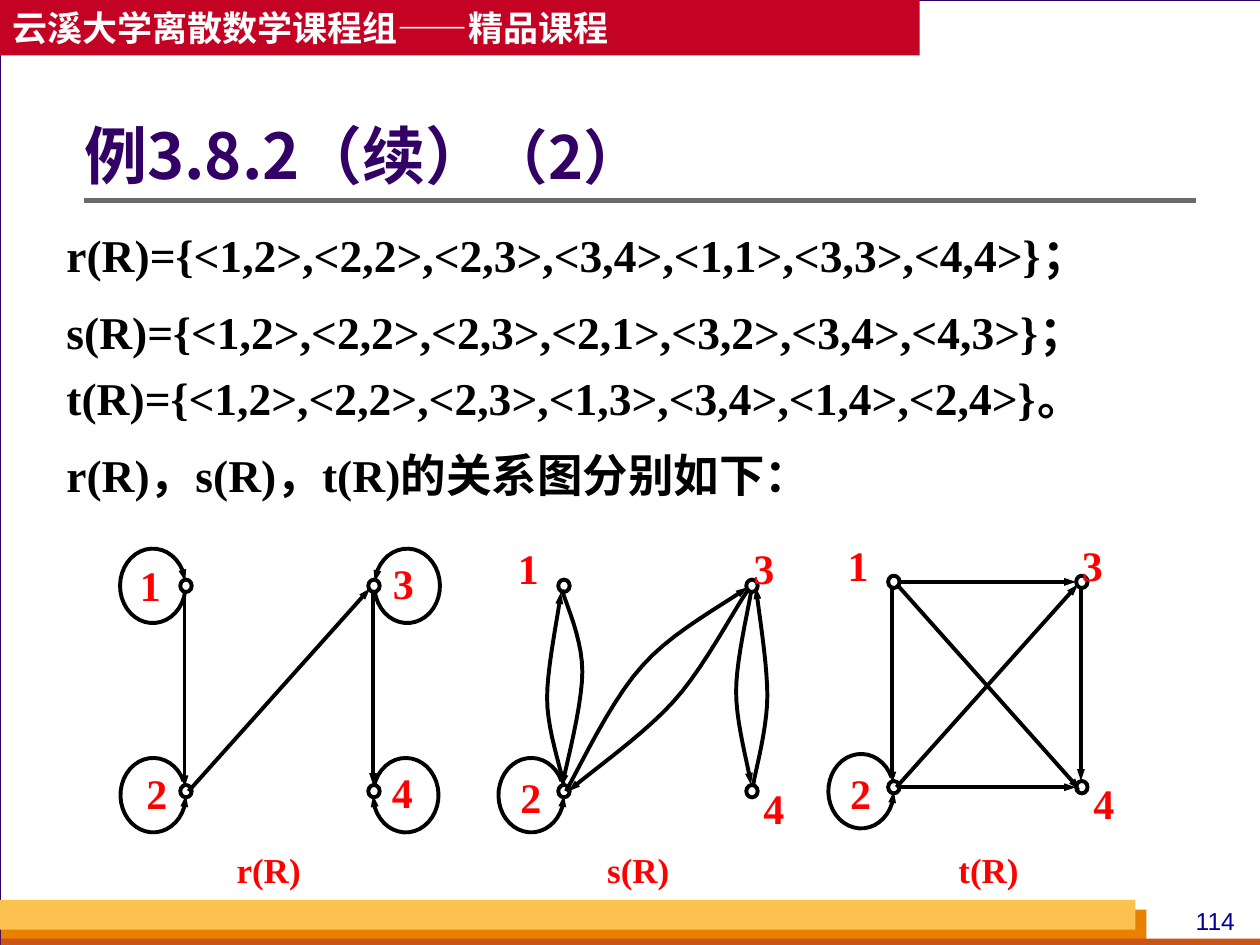
from math import cos, radians, sin

from lxml.etree import SubElement
from pptx import Presentation
from pptx.dml.color import RGBColor
from pptx.enum.shapes import MSO_CONNECTOR, MSO_SHAPE
from pptx.enum.text import MSO_ANCHOR, PP_ALIGN
from pptx.oxml.ns import qn
from pptx.util import Cm, Pt

WHITE = RGBColor(0xFF, 0xFF, 0xFF)
BLACK = RGBColor(0, 0, 0)
RED = RGBColor(0xFF, 0, 0)
PURPLE = RGBColor(0x33, 0, 0x66)
NAVY = RGBColor(0, 0, 0x99)
CRIMSON = RGBColor(0xC3, 0x02, 0x24)
ORANGE = RGBColor(0xE8, 0x80, 0)
RUST = RGBColor(0xC9, 0x56, 0x16)
YELLOW = RGBColor(0xFC, 0xC2, 0x4F)
GRAY = RGBColor(0x6B, 0x6B, 0x6B)
BACKDROP = RGBColor(0xD8, 0xDA, 0xDA)

CJK, SERIF = "Noto Sans CJK SC", "Times New Roman"
HEADER = {"name": CJK, "size": Pt(20), "bold": True, "color": WHITE}
TITLE = {"name": CJK, "size": Pt(36), "bold": True, "color": PURPLE}
BODY = {"name": SERIF, "size": Pt(26), "bold": True, "color": BLACK}
VERTEX = {"name": SERIF, "size": Pt(24), "bold": True, "color": RED}
CAPTION = {**VERTEX, "size": Pt(20)}
PAGE = {"name": "Arial", "size": Pt(14), "color": NAVY}

# All graph geometry is in cm, measured from the centre of vertex 1.
COLUMN, ROW = 3.79, 4.14
VERTICES = [(0, 0), (0, ROW), (COLUMN, 0), (COLUMN, ROW)]
STRAIGHT = {
    "12": ((-0.03, 0.1), (-0.03, 4.06)),
    "13": ((0.09, 0), (3.67, 0)),
    "14": ((0.06, 0.05), (3.75, 4.19)),
    "23": ((0.05, ROW), (3.71, 0.05)),
    "24": ((0.09, ROW), (3.67, ROW)),
    "34": ((3.77, 0.13), (3.77, 4.01)),
}
# Loop: centre, start angle, end angle (clockwise from the right).
LOOPS = {
    "1": ((-0.67, 0), 8, 353),
    "2": ((-0.66, 4.22), -22, -360),
    "3": ((4.46, 0), 172, -174),
    "4": ((4.43, 4.22), 194, 540),
}
# Each curved edge is two cubic Bezier pieces.
CURVES = [
    [(3.7, 0.1), (3.44, 0.46), (2.81, 1.68), (2.2, 2.34), (1.59, 3.02), (0.52, 3.76), (0.09, 4.14)],
    [(-0.01, 3.99), (-0.06, 3.68), (-0.34, 2.9), (-0.34, 2.26), (-0.34, 1.63), (-0.11, 0.56), (-0.06, 0.13)],
    [(0.04, 4.14), (0.29, 3.71), (0.95, 2.29), (1.59, 1.6), (2.2, 0.91), (3.26, 0.36), (3.7, 0.03)],
    [(-0.04, 0.08), (0.04, 0.36), (0.37, 1.07), (0.37, 1.73), (0.37, 2.39), (0.06, 3.56), (-0.04, 4.04)],
    [(3.77, 0.13), (3.72, 0.46), (3.47, 1.5), (3.47, 2.13), (3.47, 2.79), (3.72, 3.63), (3.77, 4.01)],
    [(3.82, 3.99), (3.87, 3.68), (4.1, 2.87), (4.1, 2.21), (4.1, 1.55), (3.92, 0.48), (3.87, 0.03)],
]
GRAPHS = [
    {"origin": (3.75, 11.81), "straight": ["12", "23", "34"], "curves": [], "loops": "1234",
     "labels": [(-1.18, -0.66), (-1.05, 3.53), (3.92, -0.69), (3.9, 3.51)]},
    {"origin": (11.37, 11.81), "straight": [], "curves": CURVES, "loops": "2",
     "labels": [(-1.18, -0.99), (-1.13, 3.61), (3.57, -0.99), (3.77, 3.84)]},
    {"origin": (18.02, 11.73), "straight": list(STRAIGHT), "curves": [], "loops": "2",
     "labels": [(-1.18, -0.97), (-1.13, 3.61), (3.54, -0.97), (3.77, 3.81)]},
]


def add_run(paragraph, text, style):
    run = paragraph.add_run()
    run.text = text
    for attribute, value in style.items():
        if attribute == "color":
            run.font.color.rgb = value
        else:
            setattr(run.font, attribute, value)
    SubElement(run.font._element, qn("a:ea")).set("typeface", CJK)


def add_text(slide, box, paragraphs, paragraph_format=None, **frame_format):
    """Each paragraph is a list of (text, style) runs."""
    frame = slide.shapes.add_textbox(*map(Cm, box)).text_frame
    for attribute, value in {"word_wrap": True, **frame_format}.items():
        setattr(frame, attribute, value)
    for index, runs in enumerate(paragraphs):
        paragraph = frame.add_paragraph() if index else frame.paragraphs[0]
        for attribute, value in (paragraph_format or {}).items():
            setattr(paragraph, attribute, value)
        for text, style in runs:
            add_run(paragraph, text, style)
    return frame


def add_band(slide, box, color):
    band = slide.shapes.add_shape(MSO_SHAPE.RECTANGLE, *map(Cm, box))
    band.shadow.inherit = False
    band.fill.solid()
    band.fill.fore_color.rgb = color
    band.line.fill.background()
    return band


def add_line(slide, start, end, color=BLACK, width=2.25):
    line = slide.shapes.add_connector(MSO_CONNECTOR.STRAIGHT, *map(Cm, start + end))
    line.line.color.rgb = color
    line.line.width = Pt(width)
    SubElement(line._element.spPr, qn("a:effectLst"))
    return line


def add_arrowhead(edge):
    tail = SubElement(edge.line._get_or_add_ln(), qn("a:tailEnd"))
    for key, value in {"type": "triangle", "w": "sm", "len": "med"}.items():
        tail.set(key, value)


def add_curve(slide, points):
    points = [(Cm(x), Cm(y)) for x, y in points]
    builder = slide.shapes.build_freeform(*points[0])
    builder.add_line_segments(points[1:], close=False)
    curve = builder.convert_to_shape()
    curve.shadow.inherit = False
    curve.fill.background()
    curve.line.color.rgb = BLACK
    curve.line.width = Pt(2.25)
    add_arrowhead(curve)


def bezier_points(controls, steps=10):
    points = [controls[0]]
    for first in range(0, len(controls) - 1, 3):
        piece = controls[first:first + 4]
        for step in range(1, steps + 1):
            t = step / steps
            weights = ((1 - t) ** 3, 3 * t * (1 - t) ** 2, 3 * t * t * (1 - t), t ** 3)
            points.append(tuple(sum(w * p[axis] for w, p in zip(weights, piece)) for axis in (0, 1)))
    return points


def loop_points(center, start, end, steps=36):
    angles = [radians(start + (end - start) * step / steps) for step in range(steps + 1)]
    return [(center[0] + 0.66 * cos(a), center[1] + 0.75 * sin(a)) for a in angles]


def add_vertex(slide, center):
    width, height = 0.23, 0.25
    vertex = slide.shapes.add_shape(
        MSO_SHAPE.OVAL, Cm(center[0] - width / 2), Cm(center[1] - height / 2), Cm(width), Cm(height))
    vertex.shadow.inherit = False
    vertex.fill.background()
    vertex.line.color.rgb = BLACK
    vertex.line.width = Pt(2.25)


def add_graph(slide, origin, straight, curves, loops, labels):
    def place(points):
        return [(origin[0] + x, origin[1] + y) for x, y in points]

    for pair in straight:
        add_arrowhead(add_line(slide, *place(STRAIGHT[pair])))
    for controls in curves:
        add_curve(slide, place(bezier_points(controls)))
    for vertex in loops:
        add_curve(slide, place(loop_points(*LOOPS[vertex])))
    for center in place(VERTICES):
        add_vertex(slide, center)
    for number, corner in enumerate(place(labels), start=1):
        add_text(slide, (*corner, 1.4, 2.06), [[(str(number), VERTEX)]])


def add_captions(slide):
    frame = add_text(slide, (2.59, 16.99, 18.97, 2.06), [[("\tr(R)\ts(R)\tt(R)", CAPTION)]])
    stops = SubElement(frame.paragraphs[0]._p.get_or_add_pPr(), qn("a:tabLst"))
    for position in (1.93, 9.4, 16.48):
        stop = SubElement(stops, qn("a:tab"))
        stop.set("pos", str(Cm(position)))
        stop.set("algn", "l")


def add_frame(slide):
    page = add_band(slide, (0, 0, 25.42, 19.05), WHITE)
    page.line.color.rgb = PURPLE
    page.line.width = Pt(0.75)
    add_band(slide, (0.02, 18.34, 23.09, 0.71), ORANGE)
    add_band(slide, (0.02, 18.92, 25.4, 0.2), RUST)
    add_band(slide, (0, 18.14, 22.89, 0.6), YELLOW)
    add_text(slide, (23.7, 18.14, 1.6, 0.86), [[("114", PAGE)]], {"alignment": PP_ALIGN.CENTER})
    add_line(slide, (1.7, 4.04), (24.1, 4.04), GRAY, 3)
    header = add_band(slide, (0, 0, 18.54, 1.12), CRIMSON).text_frame
    header.word_wrap = False
    header.vertical_anchor = MSO_ANCHOR.MIDDLE
    header.paragraphs[0].alignment = PP_ALIGN.LEFT
    add_run(header.paragraphs[0], "云溪大学离散数学课程组——精品课程", HEADER)


def main():
    deck = Presentation()
    deck.slide_width, deck.slide_height = Cm(25.4), Cm(19.05)
    slide = deck.slides.add_slide(deck.slide_layouts[6])
    slide.background.fill.solid()
    slide.background.fill.fore_color.rgb = BACKDROP
    add_frame(slide)
    add_text(slide, (1.7, 1.93, 22.4, 2.57),
             [[("例3.8.2（续）", TITLE), ("（2）", {**TITLE, "size": Pt(34)})]],
             {"line_spacing": 0.9}, margin_left=0, vertical_anchor=MSO_ANCHOR.MIDDLE)
    closures = [
        "r(R)={<1,2>,<2,2>,<2,3>,<3,4>,<1,1>,<3,3>,<4,4>}；",
        "s(R)={<1,2>,<2,2>,<2,3>,<2,1>,<3,2>,<3,4>,<4,3>}；"
        "t(R)={<1,2>,<2,2>,<2,3>,<1,3>,<3,4>,<1,4>,<2,4>}。",
        "r(R)，s(R)，t(R)的关系图分别如下：",
    ]
    add_text(slide, (1.09, 4.24, 23.75, 12.75), [[(line, BODY)] for line in closures],
             {"line_spacing": 1.2, "space_before": Pt(6.5)})
    add_captions(slide)
    for graph in GRAPHS:
        add_graph(slide, **graph)
    deck.save("out.pptx")


if __name__ == "__main__":
    main()
